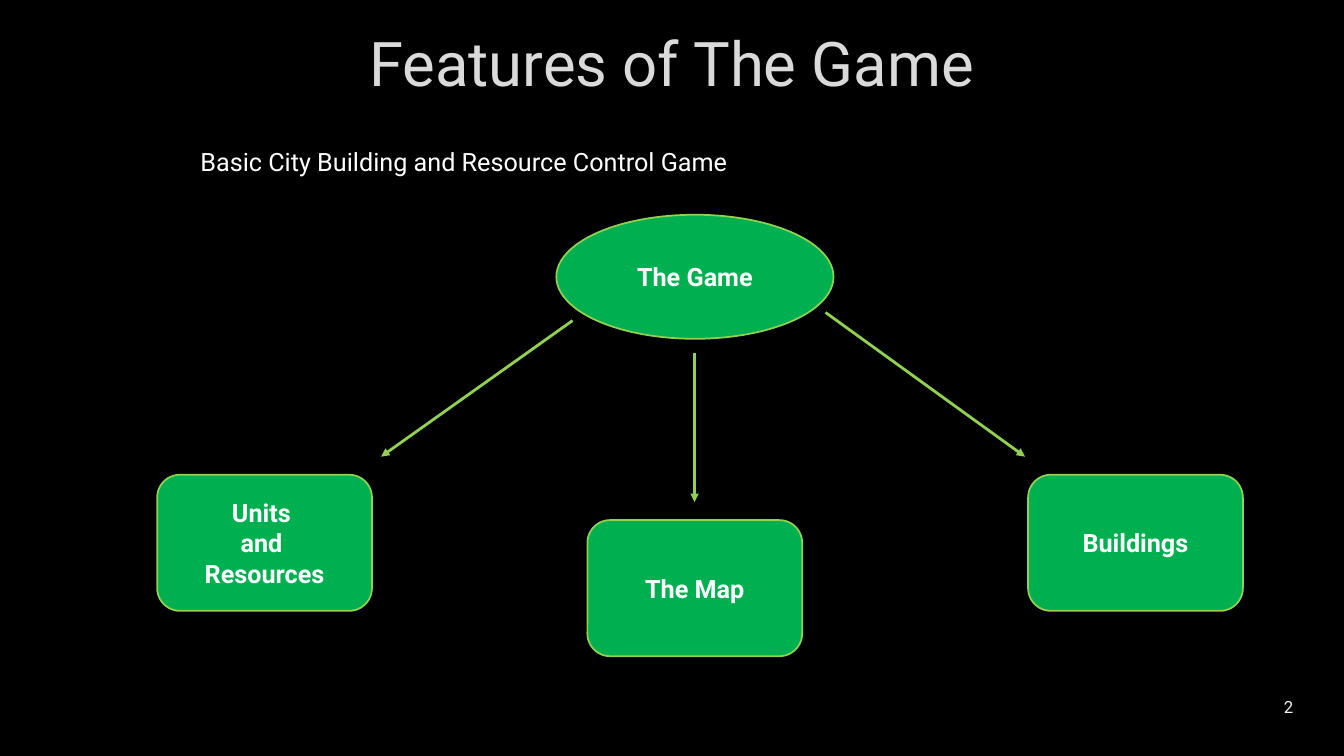
from dataclasses import dataclass

from lxml import etree
from pptx import Presentation
from pptx.dml.color import RGBColor
from pptx.enum import shapes, text
from pptx.oxml.ns import qn
from pptx.util import Pt

FONT = "Roboto"
BLACK, WHITE, GREEN, LIME = "000000", "FFFFFF", "00B050", "92D050"
NODE_WIDTH, NODE_HEIGHT = 153.4, 97.2
SIDE_TOP, MIDDLE_TOP = 339.1, 371.5


@dataclass(frozen=True)
class Label:
    words: str
    left: float
    top: float
    width: float
    height: float
    size: float
    color: str
    align: text.PP_ALIGN
    anchor: text.MSO_ANCHOR = text.MSO_ANCHOR.MIDDLE


@dataclass(frozen=True)
class Node:
    lines: tuple[str, ...]
    left: float
    top: float
    width: float = NODE_WIDTH
    height: float = NODE_HEIGHT
    kind: shapes.MSO_SHAPE = shapes.MSO_SHAPE.ROUNDED_RECTANGLE


@dataclass(frozen=True)
class Arrow:
    start: tuple[float, float]
    end: tuple[float, float]


LABELS = (
    Label("Features of The Game", 72.5, 5.8, 815, 76.3, 44, "DADADA", text.PP_ALIGN.CENTER),
    Label("2", 871.9, 490.3, 59, 28.8, 12, "F2F2F2", text.PP_ALIGN.RIGHT),
    Label("Basic City Building and Resource Control Game", 136.1, 100.8, 432, 28.8, 18,
          WHITE, text.PP_ALIGN.LEFT, text.MSO_ANCHOR.TOP),
)
NODES = (
    Node(("The Game",), 397.4, 153.4, 198, 88.6, shapes.MSO_SHAPE.OVAL),
    Node(("Units ", "and ", "Resources"), 112.3, SIDE_TOP),
    Node(("The Map",), 419.6, MIDDLE_TOP),
    Node(("Buildings",), 734.4, SIDE_TOP),
)
ARROWS = (
    Arrow((409, 229), (272.2, 326.2)),
    Arrow((589.7, 223.2), (732.2, 326.2)),
    Arrow((496.1, 252), (496.1, 358.6)),
)


def rgb(value: str) -> RGBColor:
    return RGBColor.from_string(value)


def write_lines(frame, lines: tuple[str, ...], size: float, color: str,
                align: text.PP_ALIGN, anchor: text.MSO_ANCHOR, bold: bool = False) -> None:
    """Fill a text frame with one paragraph for each line."""
    frame.word_wrap = True
    frame.vertical_anchor = anchor
    for index, line in enumerate(lines):
        paragraph = frame.add_paragraph() if index else frame.paragraphs[0]
        paragraph.alignment = align
        run = paragraph.add_run()
        run.text = line
        run.font.name = FONT
        run.font.size = Pt(size)
        run.font.bold = bold
        run.font.color.rgb = rgb(color)


def draw_label(slide, label: Label) -> None:
    box = slide.shapes.add_textbox(
        Pt(label.left), Pt(label.top), Pt(label.width), Pt(label.height))
    write_lines(box.text_frame, (label.words,), label.size, label.color,
                label.align, label.anchor)


def draw_node(slide, node: Node) -> None:
    shape = slide.shapes.add_shape(
        node.kind, Pt(node.left), Pt(node.top), Pt(node.width), Pt(node.height))
    shape.shadow.inherit = False
    shape.fill.solid()
    shape.fill.fore_color.rgb = rgb(GREEN)
    shape.line.color.rgb = rgb(LIME)
    shape.line.width = Pt(1.25)
    write_lines(shape.text_frame, node.lines, 18, WHITE,
                text.PP_ALIGN.CENTER, text.MSO_ANCHOR.MIDDLE, bold=True)


def draw_arrow(slide, arrow: Arrow) -> None:
    connector = slide.shapes.add_connector(
        shapes.MSO_CONNECTOR.STRAIGHT, *map(Pt, arrow.start + arrow.end))
    connector.line.color.rgb = rgb(LIME)
    connector.line.width = Pt(2)
    etree.SubElement(connector.line._get_or_add_ln(), qn("a:tailEnd"), type="triangle")
    etree.SubElement(connector._element.spPr, qn("a:effectLst"))


def main() -> None:
    presentation = Presentation()
    presentation.slide_width, presentation.slide_height = Pt(960), Pt(540)
    slide = presentation.slides.add_slide(presentation.slide_layouts[6])
    slide.background.fill.solid()
    slide.background.fill.fore_color.rgb = rgb(BLACK)
    for label in LABELS:
        draw_label(slide, label)
    for arrow in ARROWS:
        draw_arrow(slide, arrow)
    for node in NODES:
        draw_node(slide, node)
    presentation.save("out.pptx")


if __name__ == "__main__":
    main()
